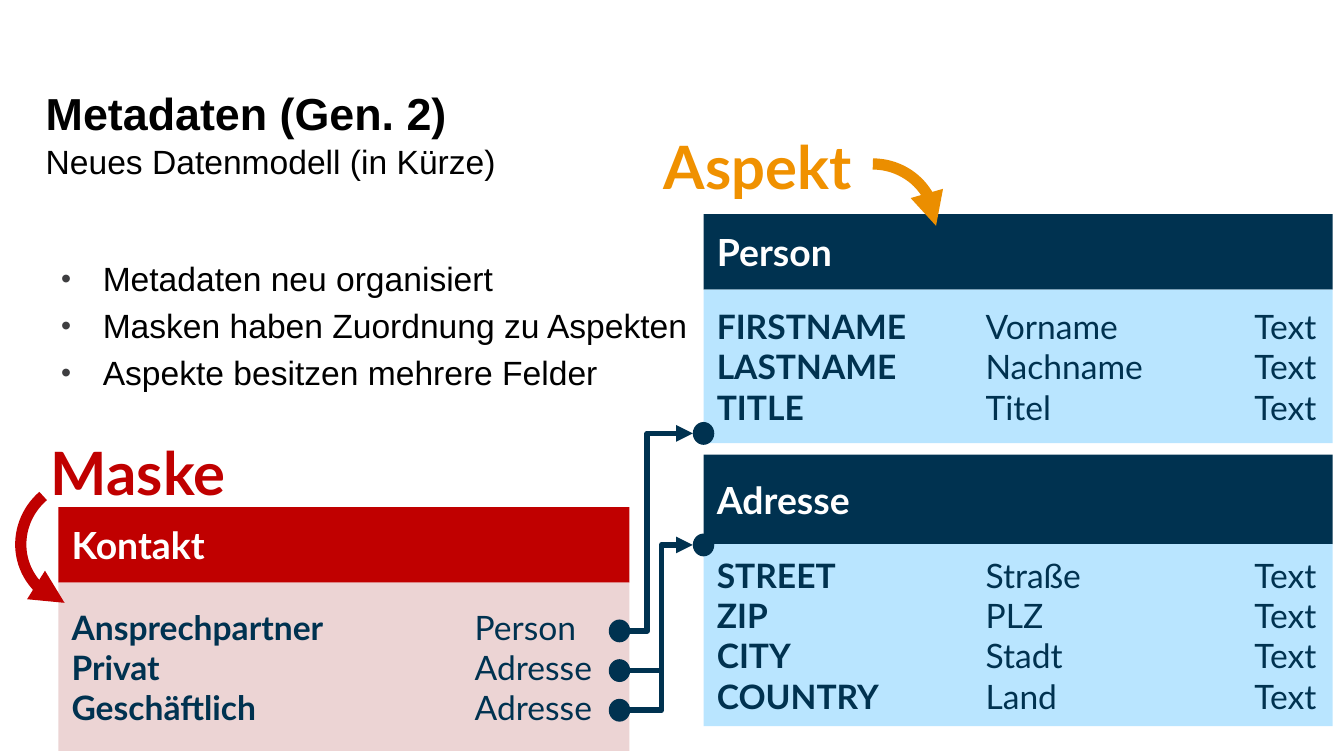
import pptx
import pptx.util
import pptx.dml.color
import pptx.enum.shapes
import pptx.enum.text
import pptx.oxml
import pptx.oxml.ns
from lxml import etree

WIDE = 10
HIGH = WIDE * 9 / 16
COLS, ROWS = 100, 56.25  # all boxes are (column, row, columns, rows)
TAB = 10  # columns between tab stops
TINT = {
    "ink": "000000", "white": "FFFFFF", "bullet": "3E3E40",
    "navy": "003250", "sky": "B9E5FF",
    "red": "C00000", "rose": "ECD4D4",
    "gold": "F09100", "amber": "EB8E00",
}
SHAPE = pptx.enum.shapes.MSO_SHAPE
ANCHOR = pptx.enum.text.MSO_ANCHOR
DOT = (1.6, 1.7)


def tint(name):
    return pptx.dml.color.RGBColor.from_string(TINT[name])


def across(n):
    return pptx.util.Inches(n * WIDE / COLS)


def down(n):
    return pptx.util.Inches(n * HIGH / ROWS)


def place(box):
    x, y, w, h = box
    return across(x), down(y), across(w), down(h)


def child(node, tag, **attrs):
    return etree.SubElement(node, pptx.oxml.ns.qn(tag), attrs)


def write(frame, lines, size=18, color="ink", font="Arial", bold=False,
          anchor=ANCHOR.TOP, bullet=None):
    """Fill a frame; a tuple line has a bold key and plain tabbed cells."""
    frame.word_wrap = True
    frame.auto_size = pptx.enum.text.MSO_AUTO_SIZE.NONE
    frame.vertical_anchor = anchor
    for i, line in enumerate(lines):
        para = frame.add_paragraph() if i else frame.paragraphs[0]
        para.alignment = pptx.enum.text.PP_ALIGN.LEFT
        if isinstance(line, tuple):
            parts = zip(line, (True, False))
        else:
            parts = [(line, bold)]
        for text, strong in parts:
            run = para.add_run()
            run.text = text
            run.font.size = pptx.util.Pt(size)
            run.font.name = font
            run.font.bold = strong
            run.font.color.rgb = tint(color)
        props = para._p.get_or_add_pPr()
        indent = across(3.1) if bullet else 0
        props.set("marL", str(indent))
        props.set("indent", str(-indent))
        props.set("defTabSz", str(across(TAB)))
        if bullet:
            child(child(props, "a:buClr"), "a:srgbClr", val=TINT["bullet"])
            child(props, "a:buSzPct", val="85000")
            child(props, "a:buChar", char=bullet)
        else:
            child(props, "a:buNone")


def block(shapes, kind, box, fill):
    shape = shapes.add_shape(kind, *place(box))
    shape.shadow.inherit = False
    shape.fill.solid()
    shape.fill.fore_color.rgb = tint(fill)
    shape.line.fill.background()
    return shape


def stroke(shape, color, width, tip=True):
    shape.line.color.rgb = tint(color)
    shape.line.width = pptx.util.Pt(width)
    if tip:
        child(shape.line._get_or_add_ln(), "a:tailEnd", type="triangle")


def lead(slide, box):
    """Title, subtitle and bullet list in the template's placeholders."""
    x, y, w, h = box
    title, sub, items = slide.placeholders
    spots = [
        (title, (x, y, w, 4.9)),
        (sub, (x, y + 4.1, 59.1, 4.7)),
        (items, (x + 1.15, y + 12.8, 49.6, h - 12.8)),
    ]
    for holder, spot in spots:
        holder.left, holder.top, holder.width, holder.height = place(spot)
    write(title.text_frame, ["Metadaten (Gen. 2)"], size=24, bold=True,
          anchor=ANCHOR.MIDDLE)
    write(sub.text_frame, ["Neues Datenmodell (in Kürze)"])
    write(items.text_frame, [
        "Metadaten neu organisiert",
        "Masken haben Zuordnung zu Aspekten",
        "Aspekte besitzen mehrere Felder",
    ], bullet="•")


def card(slide, box, name, rows, split, head="navy", body="sky"):
    """Header over a field list; split is the header's share of the height."""
    x, y, w, h = box
    top = h * split
    group = slide.shapes.add_group_shape().shapes
    bar = block(group, SHAPE.RECTANGLE, (x, y, w, top), head)
    write(bar.text_frame, [name], size=20, color="white", font="Lato",
          bold=True, anchor=ANCHOR.MIDDLE)
    area = block(group, SHAPE.RECTANGLE, (x, y + top, w, h - top), body)
    write(area.text_frame, rows, color="navy", font="Lato",
          anchor=ANCHOR.MIDDLE)


def label(slide, box, text, color):
    frame = slide.shapes.add_textbox(*place(box)).text_frame
    write(frame, [text], size=32, color=color, font="Lato", bold=True)


def swoop(slide, box, color):
    arc = slide.shapes.add_shape(SHAPE.ARC, *place(box))
    arc.shadow.inherit = False
    arc.fill.background()
    stroke(arc, color, 6)
    return arc


def dot(slide, x, y):
    w, h = DOT
    block(slide.shapes, SHAPE.OVAL, (x - w / 2, y - h / 2, w, h), "navy")


def link(slide, start, end, bend=None):
    """Elbow arrow with its bend at a share of the width, or a plain corner."""
    line = slide.shapes.add_connector(
        pptx.enum.shapes.MSO_CONNECTOR.ELBOW,
        across(start[0]), down(start[1]), across(end[0]), down(end[1]))
    stroke(line, "navy", 3, tip=bend is not None)
    props = line._element.spPr
    child(props, "a:effectLst")
    form = props.find(pptx.oxml.ns.qn("a:prstGeom"))
    if bend is None:
        form.set("prst", "bentConnector2")
    else:
        guides = form.find(pptx.oxml.ns.qn("a:avLst"))
        if guides is None:
            guides = child(form, "a:avLst")
        child(guides, "a:gd", name="adj1", fmla=f"val {round(bend * 100000)}")


def links(slide, box):
    """Join three mask rows at the left to two aspects at the right."""
    x, y, w, h = box
    right = x + w
    rows = [y + h - 5.9, y + h - 2.95, y + h]
    goals = [y, y + 8.3]
    for row in rows:
        dot(slide, x, row)
    for goal in goals:
        dot(slide, right, goal)
    start, end = x + DOT[0] / 2, right - DOT[0] / 2
    for row, goal, bend in zip(rows, goals, (0.27, 0.5)):
        link(slide, (start, row), (end, goal), bend)
    link(slide, (start, rows[2]), ((start + end) / 2, rows[1] - 2))


def main():
    deck = pptx.Presentation()
    deck.slide_width, deck.slide_height = across(COLS), down(ROWS)
    slide = deck.slides.add_slide(deck.slide_layouts[3])
    lead(slide, (2.4, 5.9, 70.9, 37.2))
    card(slide, (52.35, 15.93, 46.8, 17.05), "Person", [
        ("FIRSTNAME", "\tVorname\t\tText"),
        ("LASTNAME", "\tNachname\tText"),
        ("TITLE", "\t\tTitel\t\tText"),
    ], 0.33)
    card(slide, (52.35, 33.83, 46.8, 20.2), "Adresse", [
        ("STREET", "\t\tStraße\t\tText"),
        ("ZIP", "\t\tPLZ\t\tText"),
        ("CITY", "\t\tStadt\t\tText"),
        ("COUNTRY", "\tLand\t\tText"),
    ], 0.33)
    card(slide, (4.34, 37.73, 42.5, 18.15), "Kontakt", [
        ("Ansprechpartner", "\t\tPerson"),
        ("Privat", "\t\t\tAdresse"),
        ("Geschäftlich", "\t\tAdresse"),
    ], 0.31, "red", "rose")
    label(slide, (48.4, 9.2, 18.9, 6.4), "Aspekt", "gold")
    swoop(slide, (60.25, 12.2, 9.4, 9.2), "amber")
    label(slide, (2.8, 31.95, 17.9, 6.4), "Maske", "red")
    arc = swoop(slide, (1.5, 35.8, 9.4, 9.2), "red")
    arc.adjustments[1] = 19.18
    arc.rotation = 319.4
    arc._element.spPr.xfrm.set("flipH", "1")
    links(slide, (46.1, 32.25, 6.25, 20.6))
    deck.save("out.pptx")


if __name__ == "__main__":
    main()
